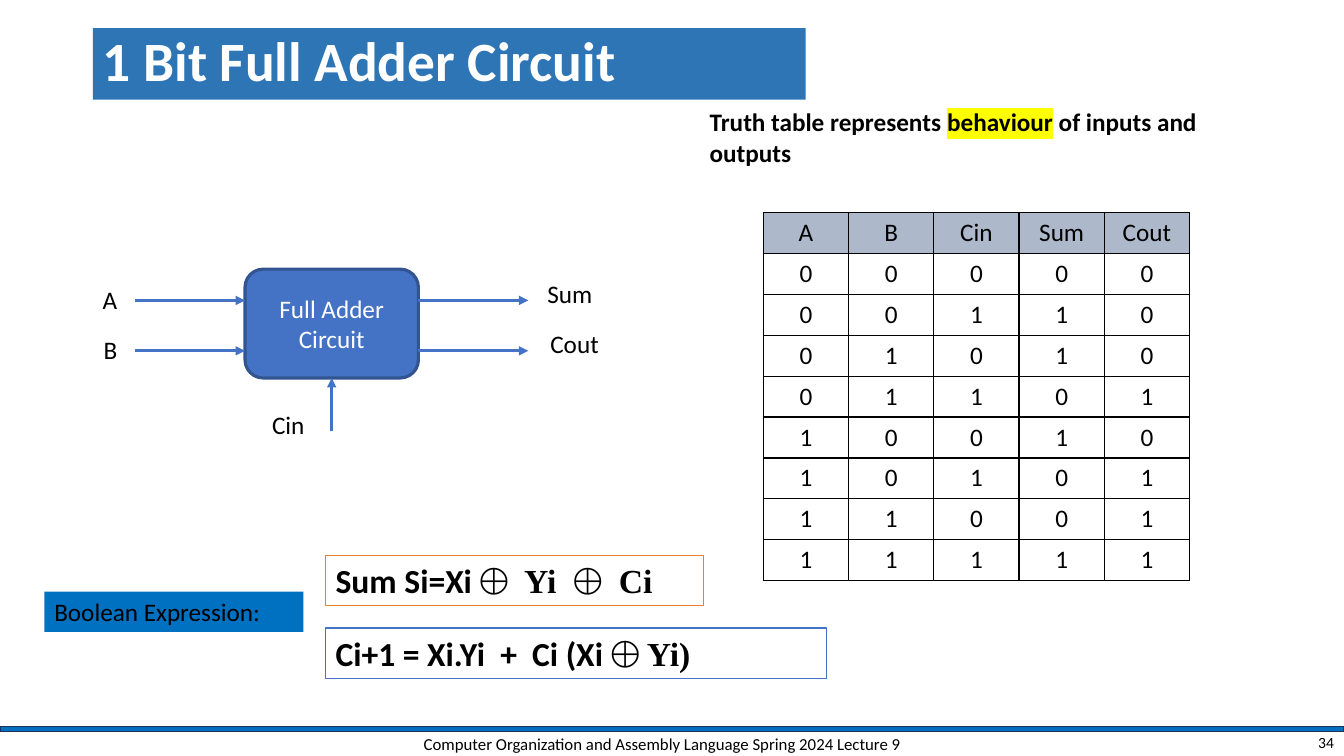
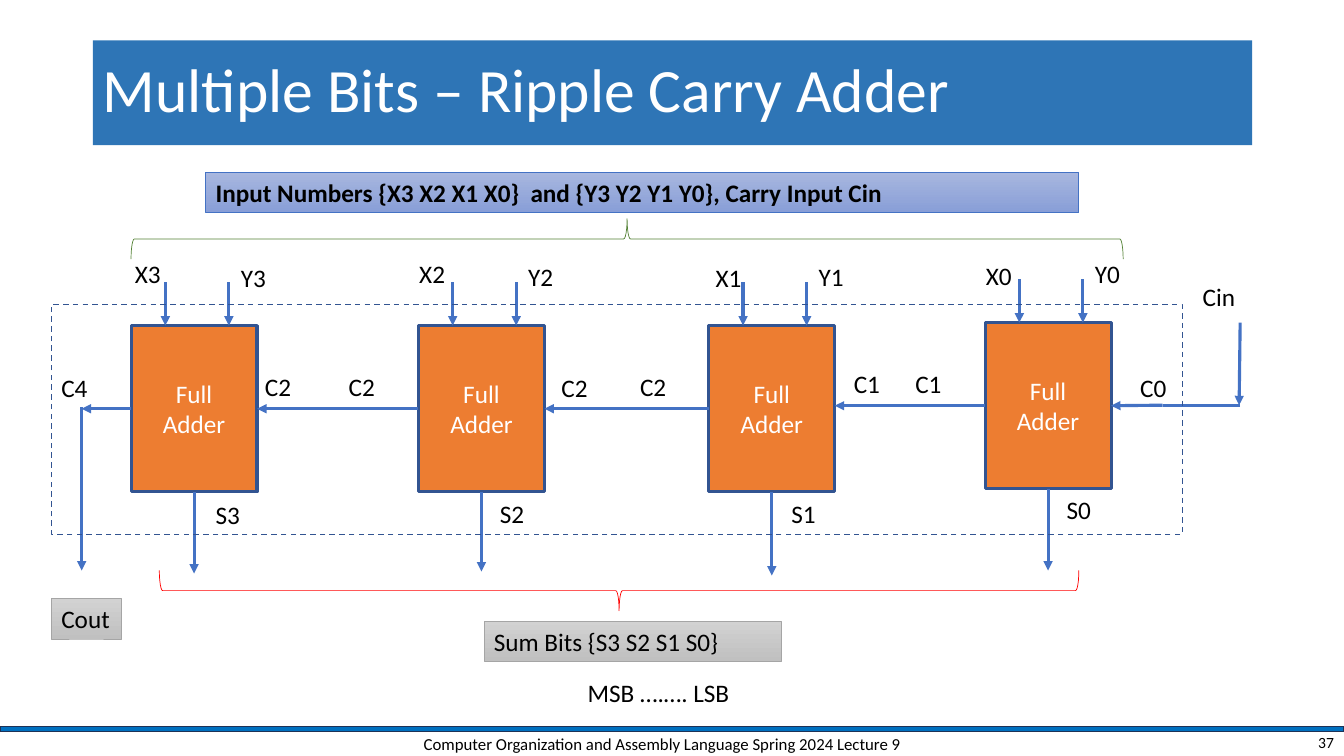
from lxml.etree import SubElement
from pptx import Presentation
from pptx.dml.color import RGBColor
from pptx.enum.dml import MSO_LINE
from pptx.enum.shapes import MSO_CONNECTOR, MSO_SHAPE as SHAPE
from pptx.enum.text import MSO_ANCHOR as ANCHOR, MSO_AUTO_SIZE as FIT, PP_ALIGN as ALIGN
from pptx.oxml.ns import qn
from pptx.util import Pt

PX = 9144
WIDTH, HEIGHT = 1333, 750
BODY, MATH = "Calibri", "Times New Roman"
COLORS = {
    "title": "2E75B6", "band": "0070C0", "band_edge": "1E3256",
    "blue": "4472C4", "blue_edge": "325491", "orange": "ED7D31",
    "header": "ADB9CA", "highlight": "FFFF00", "red": "FF0000",
    "green": "548235", "gray_edge": "A5A5A5",
    "gray_top": "D2D2D2", "gray_bottom": "C0C0C0",
    "sky_top": "A8B7DF", "sky_bottom": "889ED7",
    "black": "000000", "white": "FFFFFF",
}
GRAY, SKY = ("gray_top", "gray_bottom"), ("sky_top", "sky_bottom")

FOOTER = "Computer Organization and Assembly Language Spring 2024 Lecture 9"

TRUTH_NOTE = [
    ("Truth table represents ", BODY, None),
    ("behaviour", BODY, "highlight"),
    (" of inputs and outputs", BODY, None),
]
TRUTH_TABLE = ["A B Cin Sum Cout", "0 0 0 0 0", "0 0 1 1 0", "0 1 0 1 0", "0 1 1 0 1",
               "1 0 0 1 0", "1 0 1 0 1", "1 1 0 0 1", "1 1 1 1 1"]
EXPRESSIONS = [
    ((323, 551, 375, 50), "orange",
     [("Sum Si=Xi ", BODY, None), ("⨁  Yi  ⨁  Ci", MATH, None)]),
    ((323, 623, 497, 50), "blue",
     [("Ci+1 = Xi.Yi  +  Ci (Xi ", BODY, None), ("⨁ Yi)", MATH, None)]),
]
PORTS = [("A", 92, 277, 35), ("B", 93, 327, 35), ("Cin", 260, 401, 53),
         ("Cout", 536, 321, 69), ("Sum", 533, 271, 65)]
PORT_LEVELS = (298, 348)

ADDERS = [(977, 320, 566), (703, 323, 571), (415, 323, 567), (130, 323, 569)]
ADDER_W, ADDER_H = 125, 165
INPUT_OFFSETS, INPUT_LENGTH = (34, 97), 43
RIPPLE_LABELS = [
    ("X0", 968, 253, 46), ("Y0", 1076, 251, 45), ("X1", 700, 255, 46), ("Y1", 802, 254, 45),
    ("X2", 406, 251, 46), ("Y2", 514, 254, 45), ("X3", 124, 251, 46), ("Y3", 229, 255, 45),
    ("S0", 1048, 486, 45), ("S1", 775, 489, 45), ("S2", 486, 489, 45), ("S3", 204, 490, 45),
    ("C0", 1121, 364, 46), ("C1", 898, 360, 46), ("C1", 837, 361, 46), ("C2", 625, 363, 46),
    ("C2", 547, 364, 46), ("C2", 336, 363, 46), ("C2", 253, 363, 46), ("C4", 51, 364, 46),
    ("Cin", 1183, 274, 53),
]
BRACES = [((130, 217, 984, 40), 270, "green"), ((158, 566, 912, 40), 90, "red")]


def rgb(name):
    return RGBColor.from_string(COLORS[name])


def emu(*lengths):
    return [round(length * PX) for length in lengths]


def style_run(run, size, color="black", bold=False, font=BODY, highlight=None):
    run.font.size, run.font.bold, run.font.name = Pt(size), bold, font
    run.font.color.rgb = rgb(color)
    if highlight:
        props = run.font._element
        mark = props.makeelement(qn("a:highlight"))
        SubElement(mark, qn("a:srgbClr"), val=COLORS[highlight])
        props.find(qn("a:latin")).addprevious(mark)


def write(shape, text, size=18, color="black", bold=False,
          align=ALIGN.LEFT, anchor=ANCHOR.TOP, wrap=True):
    frame = shape.text_frame
    frame.word_wrap, frame.auto_size, frame.vertical_anchor = wrap, FIT.NONE, anchor
    if isinstance(text, str):
        frame.text = text
        for paragraph in frame.paragraphs:
            for run in paragraph.runs:
                style_run(run, size, color, bold)
    else:
        for part, font, highlight in text:
            run = frame.paragraphs[0].add_run()
            run.text = part
            style_run(run, size, color, bold, font, highlight)
    for paragraph in frame.paragraphs:
        paragraph.alignment = align


def add_text(slide, box, text, **style):
    write(slide.shapes.add_textbox(*emu(*box)), text, **style)


def add_labels(slide, labels):
    for text, left, top, width in labels:
        add_text(slide, (left, top, width, 40), text, wrap=False)


def add_box(slide, box, fill=None, edge=None, weight=1, kind=SHAPE.RECTANGLE):
    shape = slide.shapes.add_shape(kind, *emu(*box))
    shape.shadow.inherit = False
    if fill is None:
        shape.fill.background()
    elif isinstance(fill, tuple):
        shape.fill.gradient()
        shape.fill.gradient_angle = 270
        for stop, name in zip(shape.fill.gradient_stops, fill):
            stop.color.rgb = rgb(name)
    else:
        shape.fill.solid()
        shape.fill.fore_color.rgb = rgb(fill)
    if edge:
        shape.line.color.rgb = rgb(edge)
        shape.line.width = Pt(weight)
    else:
        shape.line.fill.background()
    return shape


def add_block(slide, box, text, fill, kind=SHAPE.RECTANGLE):
    block = add_box(slide, box, fill, "blue_edge", 2.25, kind)
    write(block, text, color="white", align=ALIGN.CENTER, anchor=ANCHOR.MIDDLE)
    return block


def add_arrow(slide, start, end, head=True):
    points = [(0, 0) if hasattr(place[0], "shape_id") else place for place in (start, end)]
    arrow = slide.shapes.add_connector(
        MSO_CONNECTOR.STRAIGHT, *emu(*points[0], *points[1]))
    for place, join in ((start, arrow.begin_connect), (end, arrow.end_connect)):
        if hasattr(place[0], "shape_id"):
            join(*place)
    arrow.line.color.rgb = rgb("blue")
    arrow.line.width = Pt(2.25)
    if head:
        SubElement(arrow.line._get_or_add_ln(), qn("a:tailEnd"), type="triangle")
    SubElement(arrow._element.spPr, qn("a:effectLst"))


def add_brace(slide, box, rotation, color):
    left, top, width, height = box
    shift = (width - height) / 2
    brace = add_box(slide, (left + shift, top - shift, height, width),
                    edge=color, weight=0.5, kind=SHAPE.RIGHT_BRACE)
    brace.rotation = rotation


def add_truth_table(slide, box):
    rows = [line.split() for line in TRUTH_TABLE]
    table = slide.shapes.add_table(len(rows), len(rows[0]), *emu(*box)).table
    table.first_row = table.horz_banding = False
    for r, row in enumerate(rows):
        for c, value in enumerate(row):
            cell = table.cell(r, c)
            cell.text = value
            paragraph = cell.text_frame.paragraphs[0]
            paragraph.alignment = ALIGN.CENTER
            style_run(paragraph.runs[0], 18)
            props = cell._tc.get_or_add_tcPr()
            for side in ("lnL", "lnR", "lnT", "lnB"):
                border = SubElement(props, qn(f"a:{side}"), w=str(Pt(1)))
                paint = SubElement(border, qn("a:solidFill"))
                SubElement(paint, qn("a:srgbClr"), val=COLORS["black"])
            if r == 0:
                cell.fill.solid()
                cell.fill.fore_color.rgb = rgb("header")
            else:
                cell.fill.background()


def start_slide(prs, title, box, size, bold, number):
    slide = prs.slides.add_slide(prs.slide_layouts[5])
    heading = slide.shapes.title
    heading.left, heading.top, heading.width, heading.height = emu(*box)
    heading.fill.solid()
    heading.fill.fore_color.rgb = rgb("title")
    write(heading, title, size=size, color="white", bold=bold, anchor=ANCHOR.MIDDLE)
    heading.text_frame.paragraphs[0].line_spacing = 0.9
    add_box(slide, (0, 721, WIDTH, 5), "band", "band_edge")
    add_text(slide, (392, 724, 530, 28), FOOTER, size=12,
             align=ALIGN.CENTER, anchor=ANCHOR.MIDDLE)
    add_text(slide, (1033, 724, 300, 25), number, size=11.1,
             align=ALIGN.RIGHT, anchor=ANCHOR.MIDDLE)
    return slide


def build_full_adder(prs):
    slide = start_slide(prs, "1 Bit Full Adder Circuit", (92, 28, 707, 71), 39.6, True, "34")
    circuit = add_block(slide, (243, 267, 172, 108), "Full Adder\nCircuit", "blue",
                        SHAPE.ROUNDED_RECTANGLE)
    for level in PORT_LEVELS:
        for left in (134, 415):
            add_arrow(slide, (left, level), (left + 109, level))
    add_arrow(slide, (329, 428), (circuit, 2))
    add_labels(slide, PORTS)
    add_truth_table(slide, (757, 211, 423, 365))
    add_text(slide, (694, 101, 523, 71), TRUTH_NOTE, bold=True)
    for box, edge, formula in EXPRESSIONS:
        write(add_box(slide, box, "white", edge), formula, size=24, bold=True)
    write(add_box(slide, (44, 587, 257, 40), "band"), "Boolean Expression:")


def build_ripple_adder(prs):
    slide = start_slide(prs, "Multiple Bits – Ripple Carry Adder",
                        (92, 40, 1150, 104), 44, False, "37")
    adders = [add_block(slide, (left, top, ADDER_W, ADDER_H), "Full\nAdder", "orange")
              for left, top, _ in ADDERS]
    for i, (left, top, sum_end) in enumerate(ADDERS):
        for offset in INPUT_OFFSETS:
            add_arrow(slide, (left + offset, top - INPUT_LENGTH), (left + offset, top))
        add_arrow(slide, (adders[i], 2), (left + ADDER_W / 2, sum_end))
        if i + 1 == len(ADDERS):
            carry_end = (81, top + ADDER_H / 2)
        elif ADDERS[i + 1][1] == top:
            carry_end = (adders[i + 1], 3)
        else:
            carry_end = (ADDERS[i + 1][0] + ADDER_W, top + ADDER_H / 2)
        add_arrow(slide, (adders[i], 1), carry_end)
    add_arrow(slide, (81, 404), (81, 566))
    add_arrow(slide, (1230, 320), (1229, 402))
    add_arrow(slide, (1230, 402), (1153, 402), head=False)
    add_arrow(slide, (1153, 402), (adders[0], 3))
    boundary = add_box(slide, (51, 302, 1122, 228), edge="blue_edge")
    boundary.line.dash_style = MSO_LINE.DASH
    add_labels(slide, RIPPLE_LABELS)
    for brace in BRACES:
        add_brace(slide, *brace)
    write(add_box(slide, (204, 171, 866, 40), SKY, "blue", 0.5),
          "Input Numbers {X3 X2 X1 X0}  and {Y3 Y2 Y1 Y0}, Carry Input Cin", bold=True)
    write(add_box(slide, (51, 594, 69, 40), GRAY, "gray_edge", 0.5), "Cout", wrap=False)
    write(add_box(slide, (480, 616, 295, 40), GRAY, "gray_edge", 0.5), "Sum Bits {S3 S2 S1 S0}")
    add_text(slide, (573, 667, 208, 40), "MSB ….…. LSB")


def main():
    prs = Presentation()
    prs.slide_width, prs.slide_height = emu(WIDTH, HEIGHT)
    build_full_adder(prs)
    build_ripple_adder(prs)
    prs.save("out.pptx")


if __name__ == "__main__":
    main()
